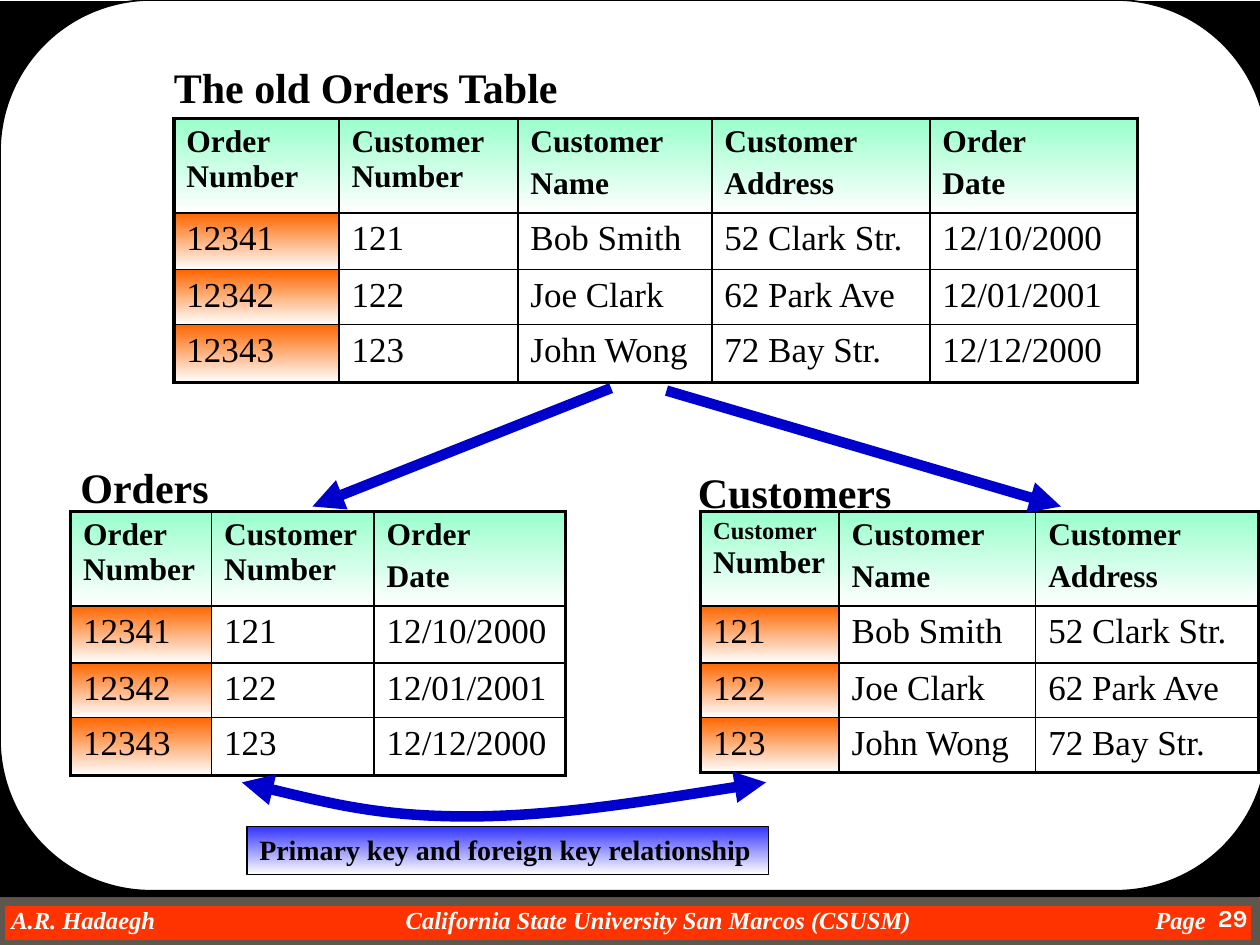
from dataclasses import dataclass
from itertools import accumulate

from lxml.etree import SubElement
from pptx import Presentation
from pptx.dml.color import RGBColor
from pptx.enum.shapes import MSO_CONNECTOR, MSO_SHAPE
from pptx.enum.text import MSO_ANCHOR, MSO_AUTO_SIZE, PP_ALIGN
from pptx.oxml import parse_xml
from pptx.oxml.ns import nsdecls, qn
from pptx.util import Inches, Pt

BLACK = RGBColor(0x00, 0x00, 0x00)
WHITE = RGBColor(0xFF, 0xFF, 0xFF)
RED = RGBColor(0xFF, 0x33, 0x00)
GREY = RGBColor(0x5E, 0x57, 0x4E)
MINT = RGBColor(0x99, 0xFF, 0xCC)
ORANGE = RGBColor(0xFF, 0x66, 0x00)
VIOLET = RGBColor(0x33, 0x33, 0xFF)
BLUE = RGBColor(0x00, 0x00, 0xCC)
SERIF = "Times New Roman"
GRID = Inches(10) // 100


@dataclass(frozen=True)
class Box:
    col: float
    row: float
    cols: float
    rows: float

    def emu(self) -> list[int]:
        return [units(n) for n in (self.col, self.row, self.cols, self.rows)]


@dataclass(frozen=True)
class Run:
    text: str
    size: float = 18
    bold: bool = True
    italic: bool = False
    color: RGBColor = BLACK
    font: str = SERIF


@dataclass(frozen=True)
class DataTable:
    col: float
    row: float
    widths: list[float]
    heights: list[float]
    header: list[list[list[Run]]]
    body: list[tuple[str, ...]]


def units(n: float) -> int:
    return round(n * GRID)


def write(tf, paras: list[list[Run]], align=PP_ALIGN.LEFT) -> None:
    for i, runs in enumerate(paras):
        p = tf.add_paragraph() if i else tf.paragraphs[0]
        p.alignment = align
        if i:
            p.space_before = Pt(3.6)
        for run in runs:
            r = p.add_run()
            r.text = run.text
            r.font.name, r.font.size = run.font, Pt(run.size)
            r.font.bold, r.font.italic = run.bold, run.italic
            r.font.color.rgb = run.color


def fade(fill, color: RGBColor) -> None:
    fill.gradient()
    fill.gradient_angle = 270
    for stop, rgb in zip(fill.gradient_stops, (color, WHITE)):
        stop.color.rgb = rgb


def add_box(s, kind, box: Box, fill: RGBColor | None, line: RGBColor | None = None, width: float = 1):
    sp = s.shapes.add_shape(kind, *box.emu())
    sp.shadow.inherit = False
    if fill is not None:
        sp.fill.solid()
        sp.fill.fore_color.rgb = fill
    if line is None:
        sp.line.fill.background()
    else:
        sp.line.color.rgb, sp.line.width = line, Pt(width)
    return sp


def add_text(s, box: Box, runs: list[Run], align=PP_ALIGN.LEFT, wrap: bool = False):
    sp = s.shapes.add_textbox(*box.emu())
    sp.text_frame.word_wrap = wrap
    write(sp.text_frame, [runs], align)
    return sp


def add_borders(cell, first_row: bool, last_row: bool, first_col: bool, last_col: bool) -> None:
    tc_pr = cell._tc.get_or_add_tcPr()
    sides = zip("LRTB", (first_col, last_col, first_row, last_row))
    for i, (side, outer) in enumerate(sides):
        width = Pt(2.25 if outer else 1)
        tc_pr.insert(i, parse_xml(
            f'<a:ln{side} {nsdecls("a")} w="{width}"><a:solidFill>'
            f'<a:srgbClr val="{BLACK}"/></a:solidFill></a:ln{side}>'))


def add_data_table(s, t: DataTable) -> None:
    box = Box(t.col, t.row, sum(t.widths), sum(t.heights))
    rows = [t.header] + [[[[Run(v, 20, False)]] for v in line] for line in t.body]
    tbl = s.shapes.add_table(len(rows), len(t.widths), *box.emu()).table
    tbl.first_row = tbl.horz_banding = False
    for column, width in zip(tbl.columns, t.widths):
        column.width = units(width)
    for row, height in zip(tbl.rows, t.heights):
        row.height = units(height)
    for i, line in enumerate(rows):
        for j, paras in enumerate(line):
            cell = tbl.cell(i, j)
            write(cell.text_frame, paras)
            if i == 0 or j == 0:
                fade(cell.fill, ORANGE if i else MINT)
            else:
                cell.fill.background()
            add_borders(cell, i == 0, i == len(rows) - 1, j == 0, j == len(line) - 1)


def style_arrow(sp, *ends: str) -> None:
    sp.line.color.rgb, sp.line.width = BLUE, Pt(6)
    ln = sp.line._get_or_add_ln()
    for end in ends:
        SubElement(ln, qn(f"a:{end}"), type="triangle")


def add_arrow(s, start: tuple[float, float], end: tuple[float, float]) -> None:
    cx = s.shapes.add_connector(MSO_CONNECTOR.STRAIGHT, *map(units, start + end))
    style_arrow(cx, "tailEnd")
    SubElement(cx._element.spPr, qn("a:effectLst"))


def add_curve(s, points: list[tuple[float, float]]) -> None:
    start, *rest = [(units(x), units(y)) for x, y in points]
    fb = s.shapes.build_freeform(*start)
    fb.add_line_segments(rest, close=False)
    sp = fb.convert_to_shape()
    outline = next(sp._element.iter(qn("a:path")))
    segments = outline.findall(qn("a:lnTo"))
    for i in range(0, len(segments), 3):
        bezier = SubElement(outline, qn("a:cubicBezTo"))
        for segment in segments[i:i + 3]:
            bezier.append(segment[0])
            outline.remove(segment)
    sp.fill.background()
    sp.shadow.inherit = False
    style_arrow(sp, "headEnd", "tailEnd")


def add_frame(s) -> None:
    add_box(s, MSO_SHAPE.RECTANGLE, Box(0, 71.5, 99.7, 3.5), RED, GREY, 6)
    footer = add_text(s, Box(0.9, 71.8, 98, 2.3), [
        Run(t, 14, True, True, WHITE)
        for t in ("A.R. Hadaegh", "\tCalifornia State University San Marcos (CSUSM)", "\tPage")])
    tf = footer.text_frame
    tf.margin_left = tf.margin_right = tf.margin_top = tf.margin_bottom = 0
    tabs = SubElement(tf.paragraphs[0]._p.get_or_add_pPr(), qn("a:tabLst"))
    for stop in (31.3, 90.8):
        SubElement(tabs, qn("a:tab"), pos=str(units(stop)), algn="l")
    add_box(s, MSO_SHAPE.RECTANGLE, Box(0, 0.1, 100, 71.1), BLACK)
    panel = add_box(s, MSO_SHAPE.ROUNDED_RECTANGLE, Box(0, 0, 100.6, 70.7), WHITE, BLACK)
    panel.adjustments[0] = 0.17
    add_text(s, Box(92.5, 71.2, 7.5, 3.8), [Run("29", 14, color=WHITE, font="Karla")], PP_ALIGN.RIGHT, True)


def add_title(s, box: Box, run: Run) -> None:
    sp = s.shapes.title
    sp.left, sp.top, sp.width, sp.height = box.emu()
    tf = sp.text_frame
    tf.word_wrap, tf.auto_size = False, MSO_AUTO_SIZE.NONE
    tf.vertical_anchor = MSO_ANCHOR.TOP
    write(tf, [[run]])
    s.shapes._spTree.append(sp._element)


def main() -> None:
    prs = Presentation()
    prs.slide_width, prs.slide_height = Inches(10), Inches(7.5)
    s = prs.slides.add_slide(prs.slide_layouts[5])
    add_frame(s)

    order_no, cust_no = [[Run("Order Number")]], [[Run("Customer Number")]]
    small_cust_no = [[Run("Customer ", 14), Run("Number")]]
    name, address, date = ([[Run(a)], [Run(b)]] for a, b in (
        ("Customer", "Name"), ("Customer", "Address"), ("Order", "Date")))
    orders = [("12341", "121", "12/10/2000"), ("12342", "122", "12/01/2001"), ("12343", "123", "12/12/2000")]
    customers = [("121", "Bob Smith", "52 Clark Str."), ("122", "Joe Clark", "62 Park Ave"),
                 ("123", "John Wong", "72 Bay Str.")]
    combined = [(o[0], *c, o[2]) for o, c in zip(orders, customers)]
    heights = [7.45, 4.5, 4.35, 4.6]
    for table in (
        DataTable(13.8, 9.4, [13.1, 14.2, 15.4, 17.3, 16.5], heights,
                  [order_no, cust_no, name, address, date], combined),
        DataTable(5.6, 40.6, [11.2, 12.9, 15.2], heights, [order_no, cust_no, date], orders),
        DataTable(55.6, 40.6, [11, 15.6, 17.7], heights[:3] + [4.3], [small_cust_no, name, address], customers),
    ):
        add_data_table(s, table)

    add_arrow(s, (48.5, 30.8), (24.8, 40.2))
    add_arrow(s, (52.9, 31), (84.2, 40.2))
    add_text(s, Box(5.4, 36.1, 12.2, 5), [Run("Orders", 24)])
    add_text(s, Box(54.4, 36.5, 17.4, 5), [Run("Customers", 24)])
    add_curve(s, [(60.8, 62.1), (52.4, 63.4), (44, 64.8), (37.1, 64.8), (30.1, 64.8), (24.7, 63.4), (19.2, 62.1)])

    key = add_box(s, MSO_SHAPE.RECTANGLE, Box(19.6, 65.6, 41.4, 3.8), None, BLACK, 0.75)
    fade(key.fill, VIOLET)
    key.text_frame.word_wrap = False
    key.text_frame.vertical_anchor = MSO_ANCHOR.TOP
    write(key.text_frame, [[Run("Primary key and foreign key relationship", 16)]])
    add_title(s, Box(12.8, 4.4, 32.8, 5), Run("The old Orders Table", 24))
    prs.save("out.pptx")


if __name__ == "__main__":
    main()
